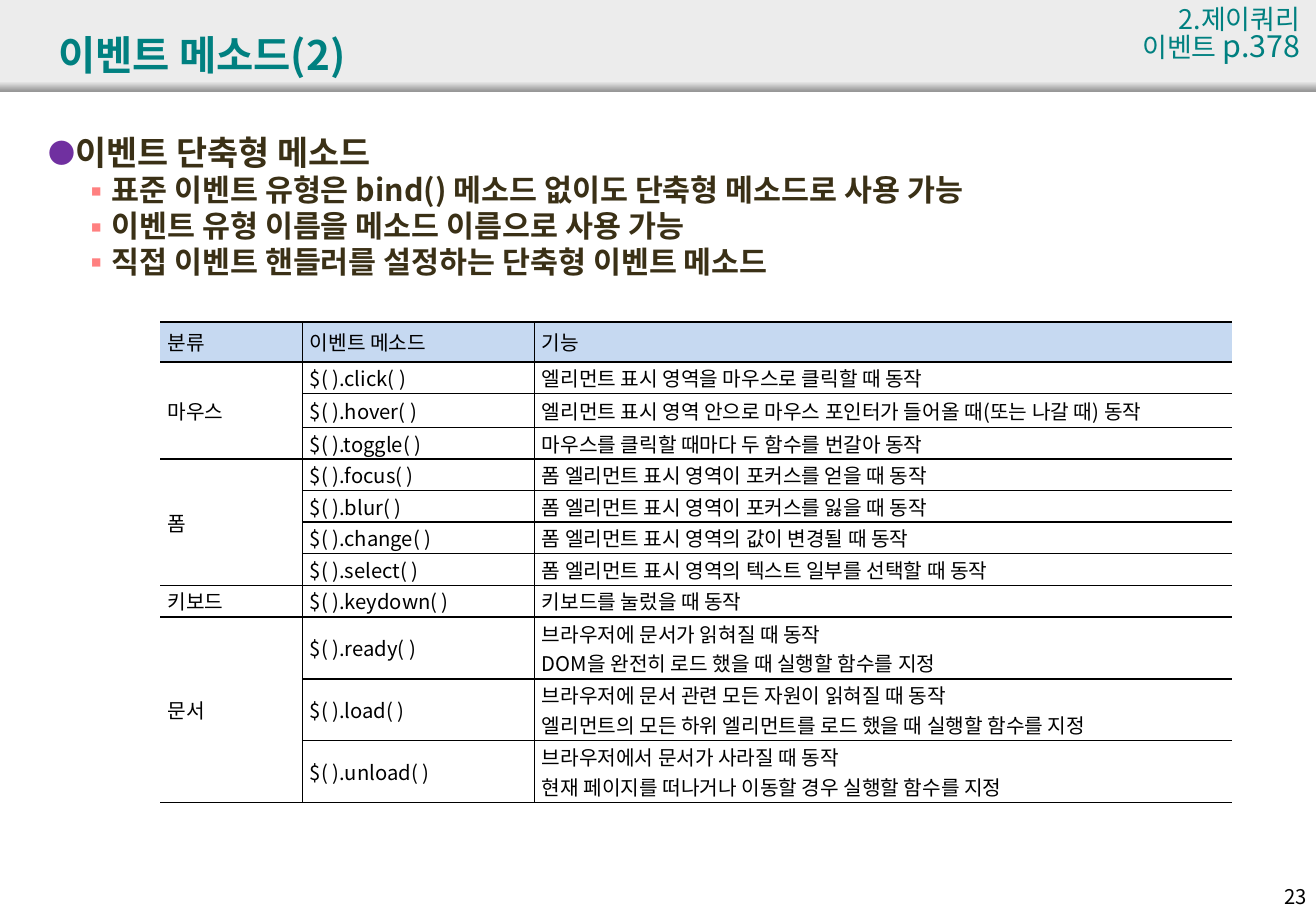
import pptx
import pptx.dml.color
import pptx.enum.shapes
import pptx.enum.text
import pptx.oxml
import pptx.oxml.ns
import pptx.util
from lxml import etree

RGBColor = pptx.dml.color.RGBColor
Inches = pptx.util.Inches
Pt = pptx.util.Pt
ALIGN = pptx.enum.text.PP_ALIGN
MIDDLE = pptx.enum.text.MSO_ANCHOR.MIDDLE
qn = pptx.oxml.ns.qn

FONT = "Noto Sans CJK KR"
WIDTH, HEIGHT = 10.83, 7.5
BAND_HEIGHT = HEIGHT / 10
EDGE_HEIGHT = 0.08
BLACK = RGBColor(0x00, 0x00, 0x00)
TEAL = RGBColor(0x00, 0x80, 0x80)
BROWN = RGBColor(0x3A, 0x30, 0x16)
PURPLE = RGBColor(0x70, 0x30, 0xA0)
CORAL = RGBColor(0xFF, 0x80, 0x80)
BAND_GRAY = RGBColor(0xEC, 0xEC, 0xEC)
EDGE_GRAY = RGBColor(0x97, 0x97, 0x97)
HEADER_BLUE = RGBColor(0xC6, 0xD9, 0xF1)

HEADING = "이벤트 단축형 메소드"
POINTS = [
    "표준 이벤트 유형은 bind() 메소드 없이도 단축형 메소드로 사용 가능",
    "이벤트 유형 이름을 메소드 이름으로 사용 가능",
    "직접 이벤트 핸들러를 설정하는 단축형 이벤트 메소드",
]
COLUMN_WIDTHS = [1.17, 1.91, 5.74]
ROW_HEIGHTS = [0.33, 0.26, 0.28] + [0.26] * 6 + [0.51] * 3
COLUMN_TITLES = ["분류", "이벤트 메소드", "기능"]
EVENT_GROUPS = {
    "마우스": [
        ("click", "엘리먼트 표시 영역을 마우스로 클릭할 때 동작"),
        ("hover", "엘리먼트 표시 영역 안으로 마우스 포인터가 들어올 때(또는 나갈 때) 동작"),
        ("toggle", "마우스를 클릭할 때마다 두 함수를 번갈아 동작"),
    ],
    "폼": [
        ("focus", "폼 엘리먼트 표시 영역이 포커스를 얻을 때 동작"),
        ("blur", "폼 엘리먼트 표시 영역이 포커스를 잃을 때 동작"),
        ("change", "폼 엘리먼트 표시 영역의 값이 변경될 때 동작"),
        ("select", "폼 엘리먼트 표시 영역의 텍스트 일부를 선택할 때 동작"),
    ],
    "키보드": [("keydown", "키보드를 눌렀을 때 동작")],
    "문서": [
        ("ready", "브라우저에 문서가 읽혀질 때 동작\nDOM을 완전히 로드 했을 때 실행할 함수를 지정"),
        ("load", "브라우저에 문서 관련 모든 자원이 읽혀질 때 동작\n"
                 "엘리먼트의 모든 하위 엘리먼트를 로드 했을 때 실행할 함수를 지정"),
        ("unload", "브라우저에서 문서가 사라질 때 동작\n"
                   "현재 페이지를 떠나거나 이동할 경우 실행할 함수를 지정"),
    ],
}


def style_paragraph(paragraph, size, color, bold=False, align=ALIGN.LEFT):
    """Set the font, for Latin and Korean text, and the alignment."""
    paragraph.alignment = align
    font = paragraph.font
    font.name, font.size, font.bold = FONT, Pt(size), bold
    font.color.rgb = color
    defaults = paragraph._p.pPr.find(qn("a:defRPr"))
    etree.SubElement(defaults, qn("a:ea")).set("typeface", FONT)


def add_bar(slide, top, height):
    """Add a full-width bar without outline and return its fill."""
    bar = slide.shapes.add_shape(
        pptx.enum.shapes.MSO_SHAPE.RECTANGLE,
        0, Inches(top), Inches(WIDTH), Inches(height))
    bar.shadow.inherit = False
    bar.line.fill.background()
    return bar.fill


def add_text(slide, left, top, width, height, lines):
    """Add a wrapping text box with one paragraph per line."""
    frame = slide.shapes.add_textbox(
        Inches(left), Inches(top), Inches(width), Inches(height)).text_frame
    frame.word_wrap = True
    frame.text = "\n".join(lines)
    return frame


def add_bullet(paragraph, symbol, color, indent, scale):
    """Give a paragraph a coloured bullet and a hanging indent."""
    properties = paragraph._p.get_or_add_pPr()
    properties.set("marL", str(Inches(indent)))
    properties.set("indent", str(-Inches(0.2)))
    bullet = pptx.oxml.parse_xml(
        f'<a:pPr {pptx.oxml.ns.nsdecls("a")}>'
        f'<a:buClr><a:srgbClr val="{color}"/></a:buClr>'
        f'<a:buSzPct val="{scale * 1000}"/>'
        f'<a:buFont typeface="{FONT}"/><a:buChar char="{symbol}"/></a:pPr>')
    defaults = properties.find(qn("a:defRPr"))
    for part in list(bullet):
        defaults.addprevious(part)


def draw_borders(cell, sides):
    """Draw black one-point borders on the given sides and clear the others."""
    properties = cell._tc.get_or_add_tcPr()
    for position, side in enumerate("LRTB"):
        paint = ('<a:solidFill><a:srgbClr val="000000"/></a:solidFill>'
                 if side in sides else "<a:noFill/>")
        properties.insert(position, pptx.oxml.parse_xml(
            f'<a:ln{side} {pptx.oxml.ns.nsdecls("a")} w="{Pt(1)}">{paint}</a:ln{side}>'))


def fill_cell(cell, text, is_header, sides):
    """Write and style one table cell."""
    cell.text = text
    cell.vertical_anchor = MIDDLE
    cell.margin_left = cell.margin_right = Inches(0.06)
    cell.margin_top = cell.margin_bottom = 0
    for paragraph in cell.text_frame.paragraphs:
        style_paragraph(paragraph, 12, BLACK, align=ALIGN.JUSTIFY)
    if is_header:
        cell.fill.solid()
        cell.fill.fore_color.rgb = HEADER_BLUE
    else:
        cell.fill.background()
    draw_borders(cell, sides)


def add_event_table(slide):
    """Add the table of event methods, grouped by category."""
    rows = [COLUMN_TITLES]
    spans = []
    for category, events in EVENT_GROUPS.items():
        spans.append((len(rows), len(rows) + len(events) - 1))
        for index, (method, purpose) in enumerate(events):
            rows.append(["" if index else category, f"$( ).{method}( )", purpose])
    table = slide.shapes.add_table(
        len(rows), len(COLUMN_TITLES), Inches(1.32), Inches(2.65),
        Inches(sum(COLUMN_WIDTHS)), Inches(sum(ROW_HEIGHTS))).table
    table.first_row = table.horz_banding = False
    for column, width in zip(table.columns, COLUMN_WIDTHS):
        column.width = Inches(width)
    for row, height in zip(table.rows, ROW_HEIGHTS):
        row.height = Inches(height)
    for row_index, texts in enumerate(rows):
        for column_index, (text, sides) in enumerate(zip(texts, ["RTB", "LRTB", "LTB"])):
            fill_cell(table.cell(row_index, column_index), text, row_index == 0, sides)
    for first, last in spans:
        if last > first:
            table.cell(first, 0).merge(table.cell(last, 0))


def add_header(slide):
    """Add the gray band, the slide title and the chapter reference."""
    band = add_bar(slide, 0, BAND_HEIGHT)
    band.solid()
    band.fore_color.rgb = BAND_GRAY
    edge = add_bar(slide, BAND_HEIGHT - EDGE_HEIGHT, EDGE_HEIGHT)
    edge.gradient()
    edge.gradient_angle = 270
    for stop, color in zip(edge.gradient_stops, [BAND_GRAY, EDGE_GRAY]):
        stop.color.rgb = color
    title = add_text(slide, 0.38, 0.13, 8, 0.63, ["이벤트 메소드(2)"])
    title.vertical_anchor = MIDDLE
    style_paragraph(title.paragraphs[0], 24, TEAL, bold=True)
    chapter = add_text(slide, 8.96, 0.02, 1.84, 0.7, ["2.제이쿼리", "이벤트 "])
    for paragraph in chapter.paragraphs:
        style_paragraph(paragraph, 16, TEAL, align=ALIGN.RIGHT)
        paragraph.line_spacing = 0.8
    page = chapter.paragraphs[1].add_run()
    page.text = "p.378"
    page.font.size = Pt(18)


def add_outline(slide):
    """Add the heading and its bullet points."""
    outline = add_text(slide, 0.3, 1.07, 10.32, 1.5, [HEADING] + POINTS)
    for index, paragraph in enumerate(outline.paragraphs):
        style_paragraph(paragraph, 18 if index else 20, BROWN, bold=True)
        paragraph.line_spacing = 0.9
        paragraph.space_before = Pt(1.8)
        if index:
            add_bullet(paragraph, "▪", CORAL, 0.47, 100)
        else:
            add_bullet(paragraph, "●", PURPLE, 0.2, 80)


def main():
    """Build the slide and save it."""
    deck = pptx.Presentation()
    deck.slide_width, deck.slide_height = Inches(WIDTH), Inches(HEIGHT)
    slide = deck.slides.add_slide(deck.slide_layouts[6])
    add_header(slide)
    add_outline(slide)
    add_event_table(slide)
    page_number = add_text(slide, 10.3, 7.23, 0.55, 0.3, ["23"])
    style_paragraph(page_number.paragraphs[0], 12, BLACK, align=ALIGN.RIGHT)
    deck.save("out.pptx")


if __name__ == "__main__":
    main()
